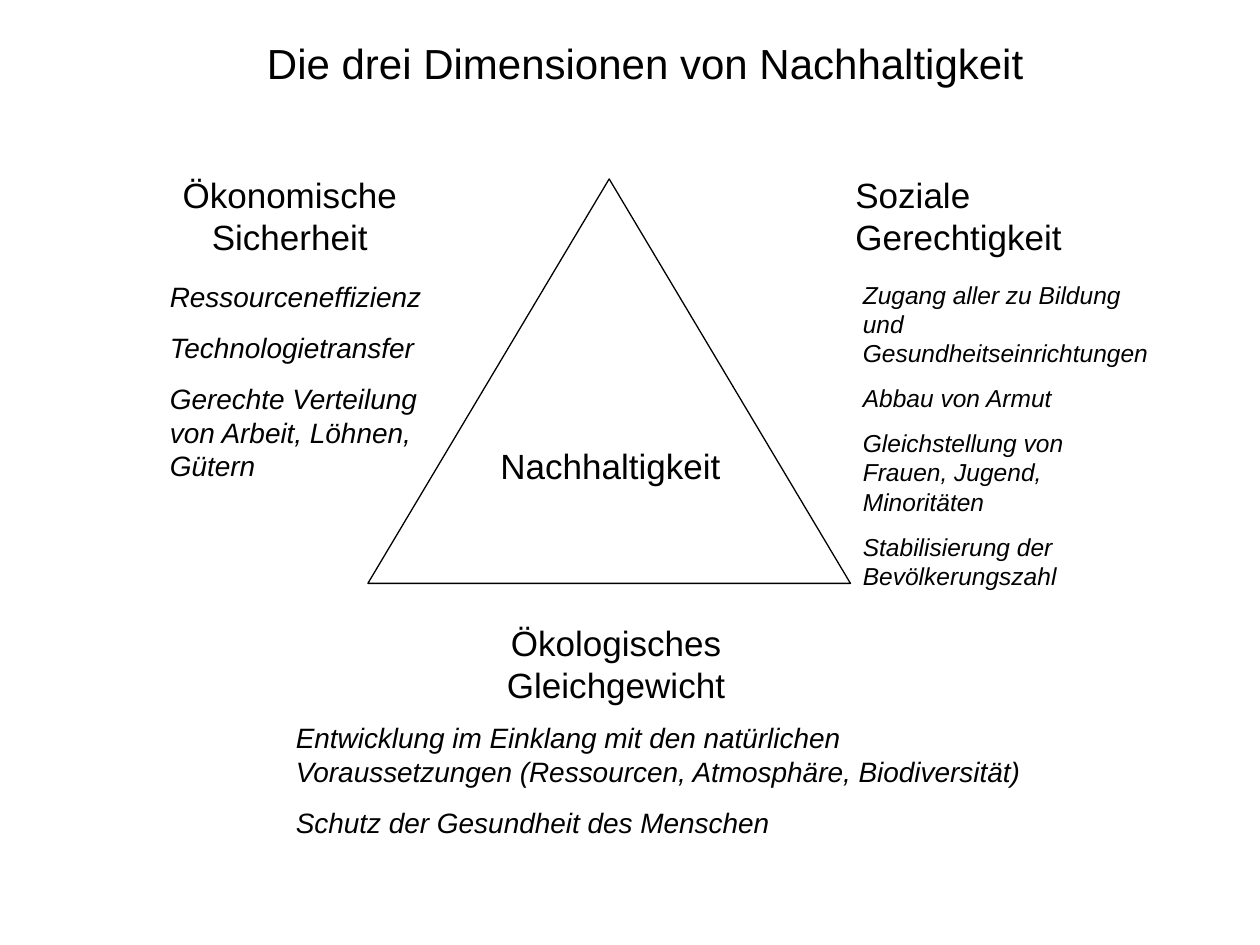
from dataclasses import dataclass

from pptx import Presentation
from pptx.dml.color import RGBColor
from pptx.enum import shapes, text
from pptx.util import Inches, Pt

COLORS = {"ink": "000000", "paper": "FFFFFF"}
FONT = "Arial"
CENTER, LEFT = text.PP_ALIGN.CENTER, text.PP_ALIGN.LEFT


@dataclass
class TextBlock:
    left: float
    top: float
    width: float
    height: float
    lines: list[str]
    size: int
    align: text.PP_ALIGN = LEFT
    italic: bool = False
    filled: bool = False


def color(name: str) -> RGBColor:
    return RGBColor.from_string(COLORS[name])


def draw_triangle(slide) -> None:
    triangle = slide.shapes.add_shape(
        shapes.MSO_SHAPE.ISOSCELES_TRIANGLE,
        Inches(2.92), Inches(1.42), Inches(3.83), Inches(3.21))
    triangle.shadow.inherit = False
    triangle.fill.solid()
    triangle.fill.fore_color.rgb = color("paper")
    triangle.line.color.rgb = color("ink")
    triangle.line.width = Pt(0.75)


def draw_block(slide, block: TextBlock) -> None:
    place = [Inches(n) for n in (block.left, block.top, block.width, block.height)]
    if block.filled:
        shape = slide.shapes.add_shape(shapes.MSO_SHAPE.RECTANGLE, *place)
        shape.shadow.inherit = False
        shape.fill.solid()
        shape.fill.fore_color.rgb = color("paper")
        shape.line.fill.background()
    else:
        shape = slide.shapes.add_textbox(*place)
    frame = shape.text_frame
    frame.word_wrap = True
    frame.vertical_anchor = text.MSO_ANCHOR.TOP
    if not block.filled:
        frame.auto_size = text.MSO_AUTO_SIZE.SHAPE_TO_FIT_TEXT
    frame.text = "\n".join(block.lines)
    for index, paragraph in enumerate(frame.paragraphs):
        paragraph.alignment = block.align
        if index:
            # Gap between paragraphs grows with the text size
            paragraph.space_before = Pt(round(block.size * 0.625, 1))
        for run in paragraph.runs:
            run.font.name = FONT
            run.font.size = Pt(block.size)
            run.font.italic = block.italic
            run.font.color.rgb = color("ink")


def heading(left: float, top: float, width: float, height: float,
            label: str, align: text.PP_ALIGN = CENTER) -> TextBlock:
    return TextBlock(left, top, width, height, [label], 20, align, filled=True)


def goals(left: float, top: float, width: float, height: float,
          lines: list[str], size: int = 16) -> TextBlock:
    return TextBlock(left, top, width, height, lines, size, italic=True)


BLOCKS = [
    # Centre and the three dimensions
    heading(3.75, 3.48, 2.19, 0.54, "Nachhaltigkeit"),
    heading(1.25, 1.33, 2.1, 1.01, "Ökonomische Sicherheit"),
    heading(3.63, 4.88, 2.52, 1.01, "Ökologisches Gleichgewicht"),
    heading(6.69, 1.33, 2.31, 0.83, "Soziale Gerechtigkeit", LEFT),
    # Goals of each dimension
    goals(1.25, 2.17, 2.5, 1.71, [
        "Ressourceneffizienz",
        "Technologietransfer",
        "Gerechte Verteilung von Arbeit, Löhnen, Gütern"]),
    goals(6.75, 2.17, 2.5, 2.57, [
        "Zugang aller zu Bildung und Gesundheitseinrichtungen",
        "Abbau von Armut",
        "Gleichstellung von Frauen, Jugend, Minoritäten",
        "Stabilisierung der Bevölkerungszahl"], size=14),
    goals(2.25, 5.67, 6.17, 1.04, [
        "Entwicklung im Einklang mit den natürlichen Voraussetzungen "
        "(Ressourcen, Atmosphäre, Biodiversität)",
        "Schutz der Gesundheit des Menschen"]),
    # Title
    TextBlock(1.08, 0.25, 8.08, 0.5,
              ["Die drei Dimensionen von Nachhaltigkeit"], 24, CENTER),
]


def main() -> None:
    presentation = Presentation()
    presentation.slide_width = Inches(10)
    presentation.slide_height = Inches(7.5)
    slide = presentation.slides.add_slide(presentation.slide_layouts[6])
    draw_triangle(slide)
    for block in BLOCKS:
        draw_block(slide, block)
    presentation.save("out.pptx")


if __name__ == "__main__":
    main()
